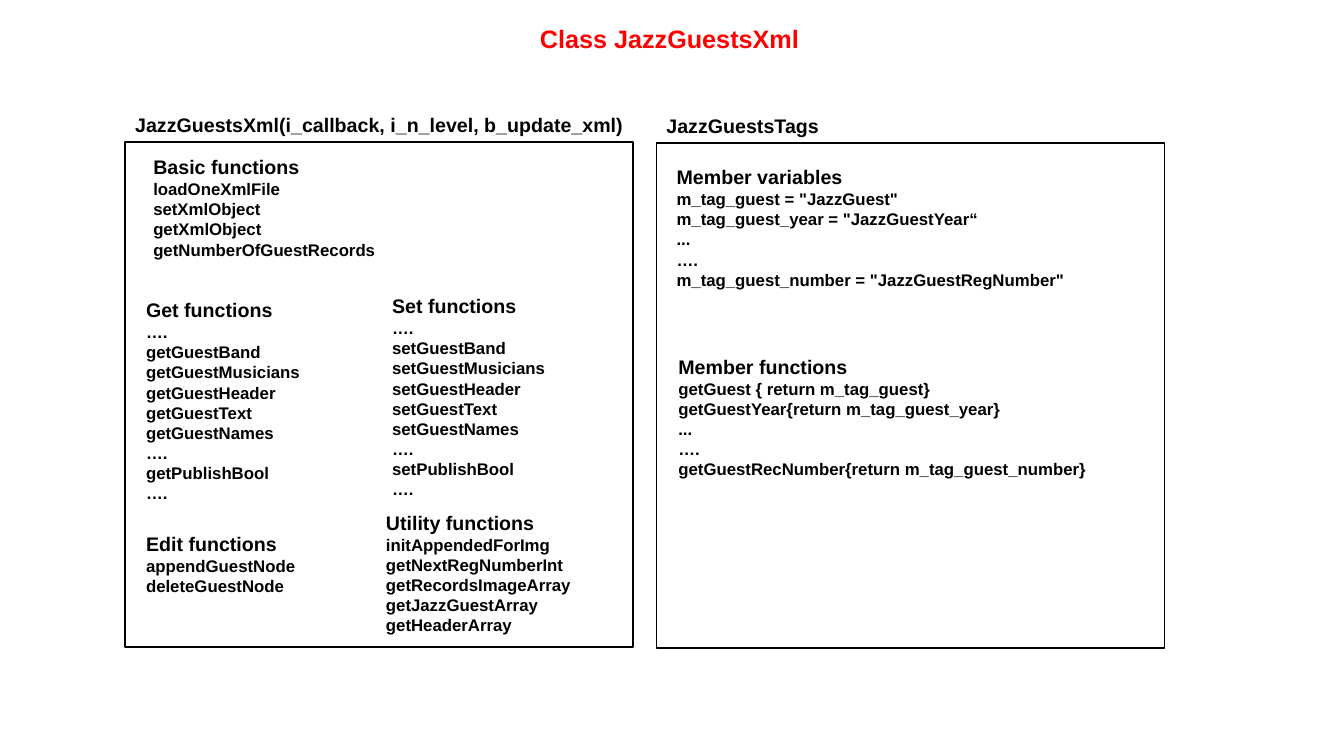
import pptx
import pptx.dml.color
import pptx.enum.text
import pptx.oxml
import pptx.oxml.ns
import pptx.util
from pptx.util import Inches

RED = pptx.dml.color.RGBColor(0xFF, 0x00, 0x00)
BLACK = pptx.dml.color.RGBColor(0x00, 0x00, 0x00)
ALIGN = pptx.enum.text.PP_ALIGN

FRAME_FORMAT = {
    "word_wrap": True,
    "auto_size": pptx.enum.text.MSO_AUTO_SIZE.NONE,
    "vertical_anchor": pptx.enum.text.MSO_ANCHOR.TOP,
    "margin_left": Inches(0.1),
    "margin_right": Inches(0.1),
    "margin_top": Inches(0.05),
    "margin_bottom": Inches(0.05),
}
PARAGRAPH_FORMAT = {
    "space_before": pptx.util.Pt(0),
    "space_after": pptx.util.Pt(0),
    "line_spacing": 1.0,
}
PANEL_SIZE = (5.04, 5.01)
HEADING_SIZE = (5.26, 0.34)

# Groups: offset from the panel corner, size, heading, members
CLASS_GROUPS = [
    ((0.18, 0.08), (3.2, 1.14), "Basic functions",
     ["loadOneXmlFile", "setXmlObject", "getXmlObject",
      "getNumberOfGuestRecords"]),
    ((0.11, 3.82), (1.92, 0.94), "Edit functions",
     ["appendGuestNode", "deleteGuestNode"]),
    ((2.49, 3.61), (2.26, 1.35), "Utility functions",
     ["initAppendedForImg", "getNextRegNumberInt", "getRecordsImageArray",
      "getJazzGuestArray", "getHeaderArray"]),
]
GUEST_FIELDS = ["GuestBand", "GuestMusicians", "GuestHeader", "GuestText",
                "GuestNames"]
for verb, offset in (("get", (0.11, 1.5)), ("set", (2.55, 1.46))):
    accessors = [verb + field for field in GUEST_FIELDS]
    CLASS_GROUPS.append(
        (offset, (1.92, 2.36), f"{verb.title()} functions",
         ["….", *accessors, "….", f"{verb}PublishBool", "…."]))

TAG_GROUPS = [
    ((0.1, 0.17), (4.8, 1.35), "Member variables",
     ['m_tag_guest = "JazzGuest"', 'm_tag_guest_year = "JazzGuestYear“',
      "...", "….", 'm_tag_guest_number = "JazzGuestRegNumber"']),
    ((0.12, 2.05), (4.8, 1.35), "Member functions",
     ["getGuest { return m_tag_guest}",
      "getGuestYear{return m_tag_guest_year}",
      "...", "….", "getGuestRecNumber{return m_tag_guest_number}"]),
]


def apply_format(target, values):
    for name, value in values.items():
        setattr(target, name, value)


def write_lines(holder, position, size, lines, color=BLACK, align=ALIGN.LEFT):
    """Place a text holder and fill it with (text, point size) lines."""
    apply_format(holder, dict(zip(("left", "top", "width", "height"),
                                  map(Inches, (*position, *size)))))
    frame = holder.text_frame
    frame.text = "\n".join(text for text, _ in lines)
    apply_format(frame, FRAME_FORMAT)
    for paragraph, (_, points) in zip(frame.paragraphs, lines):
        apply_format(paragraph, {**PARAGRAPH_FORMAT, "alignment": align})
        apply_format(paragraph.runs[0].font, {
            "name": "Arial", "size": pptx.util.Pt(points), "bold": True})
        paragraph.runs[0].font.color.rgb = color
        # Plain lines without bullet or indent
        properties = paragraph._p.get_or_add_pPr()
        properties.set("marL", "0")
        properties.set("indent", "0")
        properties.append(pptx.oxml.parse_xml(
            f"<a:buNone {pptx.oxml.ns.nsdecls('a')}/>"))


def add_title(slide):
    write_lines(slide.shapes.title, (0.08, 0.18), (13.12, 0.4),
                [("Class JazzGuestsXml", 18)], RED, ALIGN.CENTER)


def add_panel(slide, left, top, heading, groups, heading_holder, first_holder):
    # Outline
    panel = slide.shapes.add_shape(
        pptx.enum.shapes.MSO_SHAPE.RECTANGLE,
        *map(Inches, (left, top, *PANEL_SIZE)))
    panel.shadow.inherit = False
    panel.fill.background()
    panel.line.color.rgb = BLACK
    panel.line.width = pptx.util.Pt(1)

    # Heading above the outline
    write_lines(heading_holder, (left, top - HEADING_SIZE[1]), HEADING_SIZE,
                [(heading, 14)])

    # Groups of members; the first uses the content placeholder
    for index, ((dx, dy), size, name, members) in enumerate(groups):
        holder = first_holder if index == 0 else slide.shapes.add_textbox(
            0, 0, 0, 0)
        write_lines(holder, (left + dx, top + dy), size,
                    [(name, 14)] + [(member, 12) for member in members])


def main():
    presentation = pptx.Presentation()
    presentation.slide_width = Inches(13.33)
    presentation.slide_height = Inches(7.5)
    comparison = presentation.slide_layouts.get_by_name("Comparison")
    slide = presentation.slides.add_slide(comparison)
    holders = slide.placeholders

    add_title(slide)
    add_panel(slide, 1.24, 1.41,
              "JazzGuestsXml(i_callback, i_n_level, b_update_xml)",
              CLASS_GROUPS, holders[1], holders[2])
    add_panel(slide, 6.51, 1.42, "JazzGuestsTags",
              TAG_GROUPS, holders[3], holders[4])
    presentation.save("out.pptx")


if __name__ == "__main__":
    import pptx.enum.shapes
    main()
